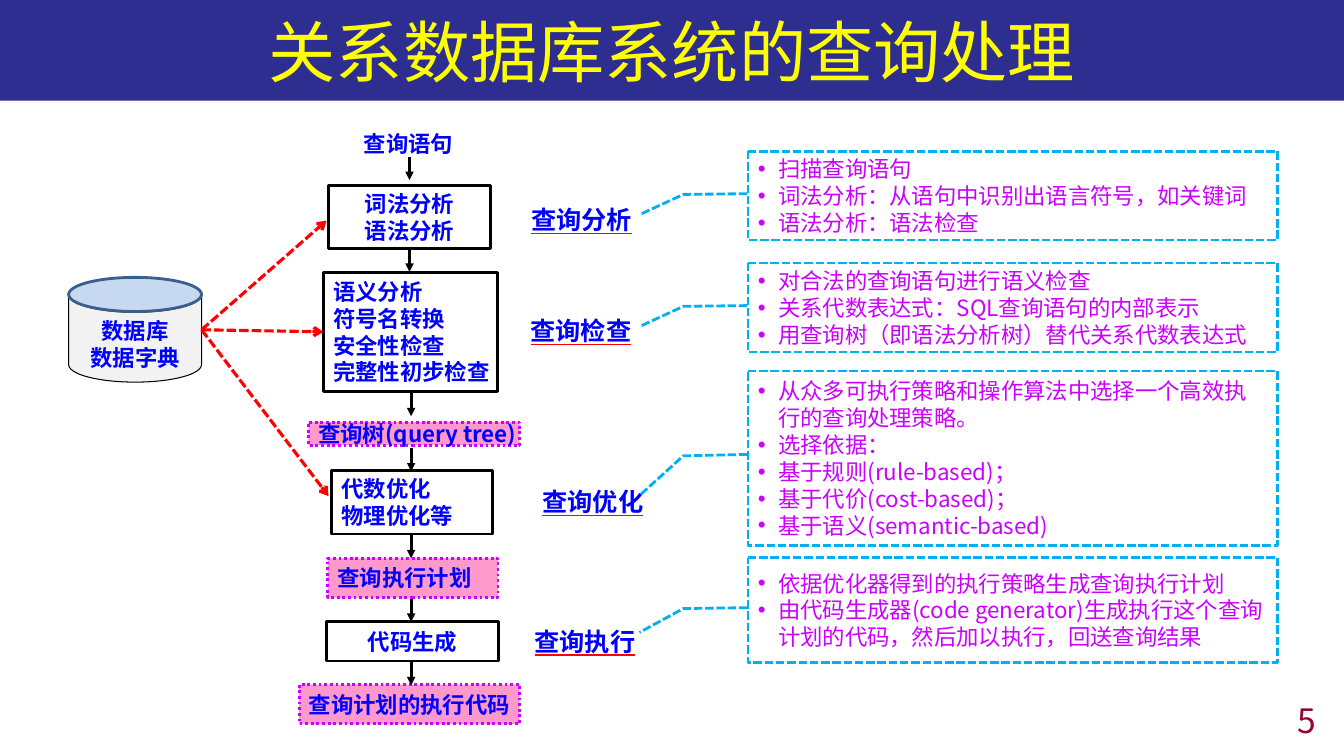
from lxml import etree
from pptx import Presentation
from pptx.dml.color import RGBColor
from pptx.enum.dml import MSO_LINE_DASH_STYLE as Dash
from pptx.enum.shapes import MSO_CONNECTOR, MSO_SHAPE as Preset
from pptx.enum.text import MSO_ANCHOR as Anchor, PP_ALIGN as Align
from pptx.oxml.ns import qn
from pptx.util import Cm, Pt

FONT = "Noto Sans CJK SC"
COLORS = {
    "banner": "2E2E90", "title": "FFFF00", "page": "990033", "text": "0000FF",
    "black": "000000", "red": "FF0000", "pink": "FF99CC", "purple": "CC00FF",
    "cyan": "00B0F0", "disk": "F2F2F2", "lid": "C6D9F1", "lid_edge": "3A5F8C",
}
CALLOUT_TAIL = (0.479, -0.001, 0.487, -0.122, 0.715, -0.205)
ARROW_LENGTH = 0.58

# Steps of the flow: text, left, top, width, height, alignment, is it a result
STEPS = [
    ("词法分析\n语法分析", 8.28, 4.67, 4.09, 1.6, Align.CENTER, False),
    ("语义分析\n符号名转换\n安全性检查\n完整性初步检查", 8.15, 6.86, 4.39, 3, Align.LEFT, False),
    ("查询树(query tree)", 7.77, 10.64, 5.33, 0.58, Align.LEFT, True),
    ("代数优化\n物理优化等", 8.36, 11.86, 4.06, 1.6, Align.LEFT, False),
    ("查询执行计划", 8.26, 14.07, 4.29, 0.99, Align.LEFT, True),
    ("代码生成", 8.23, 15.67, 4.34, 0.99, Align.CENTER, False),
    ("查询计划的执行代码", 7.54, 17.25, 5.56, 0.99, Align.CENTER, True),
]
FLOW_ARROWS = [(10.32, 3.96), (10.32, 6.27), (10.36, 9.91), (10.36, 11.3),
               (10.36, 13.49), (10.36, 15.09), (10.36, 16.69)]

# Phases: name, right edge and top of the name, top and height of the callout, points
PHASES = [
    ("查询分析", 16.18, 5.03, 3.81, 2.24,
     "扫描查询语句\n词法分析：从语句中识别出语言符号，如关键词\n语法分析：语法检查"),
    ("查询检查", 16.16, 7.82, 6.63, 2.24,
     "对合法的查询语句进行语义检查\n关系代数表达式：SQL查询语句的内部表示\n"
     "用查询树（即语法分析树）替代关系代数表达式"),
    ("查询优化", 16.46, 12.14, 9.35, 4.39,
     "从众多可执行策略和操作算法中选择一个高效执行的查询处理策略。\n选择依据：\n"
     "基于规则(rule-based)；\n基于代价(cost-based)；\n基于语义(semantic-based)"),
    ("查询执行", 16.26, 15.65, 14.05, 2.64,
     "依据优化器得到的执行策略生成查询执行计划\n"
     "由代码生成器(code generator)生成执行这个查询计划的代码，然后加以执行，回送查询结果"),
]


def rgb(name):
    return RGBColor.from_string(COLORS[name])


def add_child(parent, tag, **attributes):
    return etree.SubElement(parent, qn(tag), attributes)


def style_line(line, color, width, dash=None):
    line.color.rgb = rgb(color)
    line.width = Pt(width)
    if dash is not None:
        line.dash_style = dash


def write_text(shape, text, size=16, color="text", bold=False, align=Align.LEFT,
               anchor=Anchor.MIDDLE, wrap=True, hanging=0, bullet=None,
               underline=None, tight=True):
    frame = shape.text_frame
    frame.word_wrap = wrap
    frame.vertical_anchor = anchor
    for index, line in enumerate(text.split("\n")):
        paragraph = frame.paragraphs[0] if index == 0 else frame.add_paragraph()
        paragraph.alignment = align
        if tight:
            paragraph.line_spacing = Pt(size * 1.2)
        properties = paragraph._p.get_or_add_pPr()
        if hanging:
            properties.set("marL", str(Cm(hanging)))
            properties.set("indent", str(-Cm(hanging)))
        if bullet:
            add_child(properties, "a:buFont", typeface="Arial")
            add_child(properties, "a:buChar", char=bullet)
        run = paragraph.add_run()
        run.text = line
        font = run.font
        font.size, font.bold = Pt(size), bold
        font.color.rgb = rgb(color)
        run_properties = run._r.get_or_add_rPr()
        if underline:
            font.underline = True
            fill = add_child(add_child(run_properties, "a:uFill"), "a:solidFill")
            add_child(fill, "a:srgbClr", val=COLORS[underline])
        font.name = FONT
        add_child(run_properties, "a:ea", typeface=FONT)


def add_box(slide, preset, left, top, width, height, fill=None, line=None):
    shape = slide.shapes.add_shape(preset, Cm(left), Cm(top), Cm(width), Cm(height))
    shape.shadow.inherit = False
    if fill:
        shape.fill.solid()
        shape.fill.fore_color.rgb = rgb(fill)
    else:
        shape.fill.background()
    if line:
        style_line(shape.line, *line)
    else:
        shape.line.fill.background()
    return shape


def add_label(slide, text, left, top, width, height, **text_format):
    box = slide.shapes.add_textbox(Cm(left), Cm(top), Cm(width), Cm(height))
    write_text(box, text, **text_format)


def add_arrow(slide, start, end, color, width, head, dash=None):
    arrow = slide.shapes.add_connector(
        MSO_CONNECTOR.STRAIGHT, *(Cm(value) for value in (*start, *end)))
    style_line(arrow.line, color, width, dash)
    add_child(arrow.line._get_or_add_ln(), "a:tailEnd", type=head)
    add_child(arrow._element.spPr, "a:effectLst")


def add_step(slide, text, left, top, width, height, align, is_result):
    fill = "pink" if is_result else None
    line = ("purple", 2, Dash.ROUND_DOT) if is_result else ("black", 2)
    box = add_box(slide, Preset.RECTANGLE, left, top, width, height, fill, line)
    write_text(box, text, bold=True, align=align, wrap=False, hanging=0.97)


def add_phase(slide, name, right, name_top, top, height, points):
    add_label(slide, name, right - 3.5, name_top, 3.5, 1.02, size=18, bold=True,
              align=Align.RIGHT, anchor=Anchor.TOP, underline="red")
    callout = add_box(slide, Preset.LINE_CALLOUT_2, 18.85, top, 13.34, height,
                      line=("cyan", 2, Dash.SQUARE_DOT))
    for index, value in enumerate(CALLOUT_TAIL):
        callout.adjustments[index] = value
    write_text(callout, points, color="purple", hanging=0.51, bullet="•")


def add_database(slide):
    disk = add_box(slide, Preset.FLOWCHART_MAGNETIC_DISK, 1.73, 6.99, 3.35, 2.64,
                   "disk", ("black", 0.75))
    write_text(disk, "数据库\n数据字典", bold=True, align=Align.CENTER, anchor=Anchor.TOP)
    for target in ((8.15, 8.36), (8.28, 12.5), (8.23, 5.56)):
        add_arrow(slide, (5.08, 8.31), target, "red", 2.25, "arrow", Dash.SQUARE_DOT)
    add_box(slide, Preset.OVAL, 1.73, 6.99, 3.35, 0.86, "lid", ("lid_edge", 2))


def main():
    presentation = Presentation()
    presentation.slide_width, presentation.slide_height = Cm(33.87), Cm(19.05)
    slide = presentation.slides.add_slide(presentation.slide_layouts[6])

    # Title banner and page number
    banner = add_box(slide, Preset.RECTANGLE, 0, 0, 33.87, 2.54, "banner")
    write_text(banner, "关系数据库系统的查询处理", size=48, color="title",
               align=Align.CENTER, tight=False)
    add_label(slide, "5", 26.24, 17.75, 7.19, 0.79, size=24, color="page",
              align=Align.RIGHT, tight=False)

    # Processing flow
    add_label(slide, "查询语句", 8.92, 3.15, 2.82, 0.94, bold=True,
              anchor=Anchor.TOP, wrap=False)
    for step in STEPS:
        add_step(slide, *step)
    for x, y in FLOW_ARROWS:
        add_arrow(slide, (x, y), (x, y + ARROW_LENGTH), "black", 2, "triangle")

    # Data dictionary, then phases with their explanations
    add_database(slide)
    for phase in PHASES:
        add_phase(slide, *phase)

    presentation.save("out.pptx")


if __name__ == "__main__":
    main()
